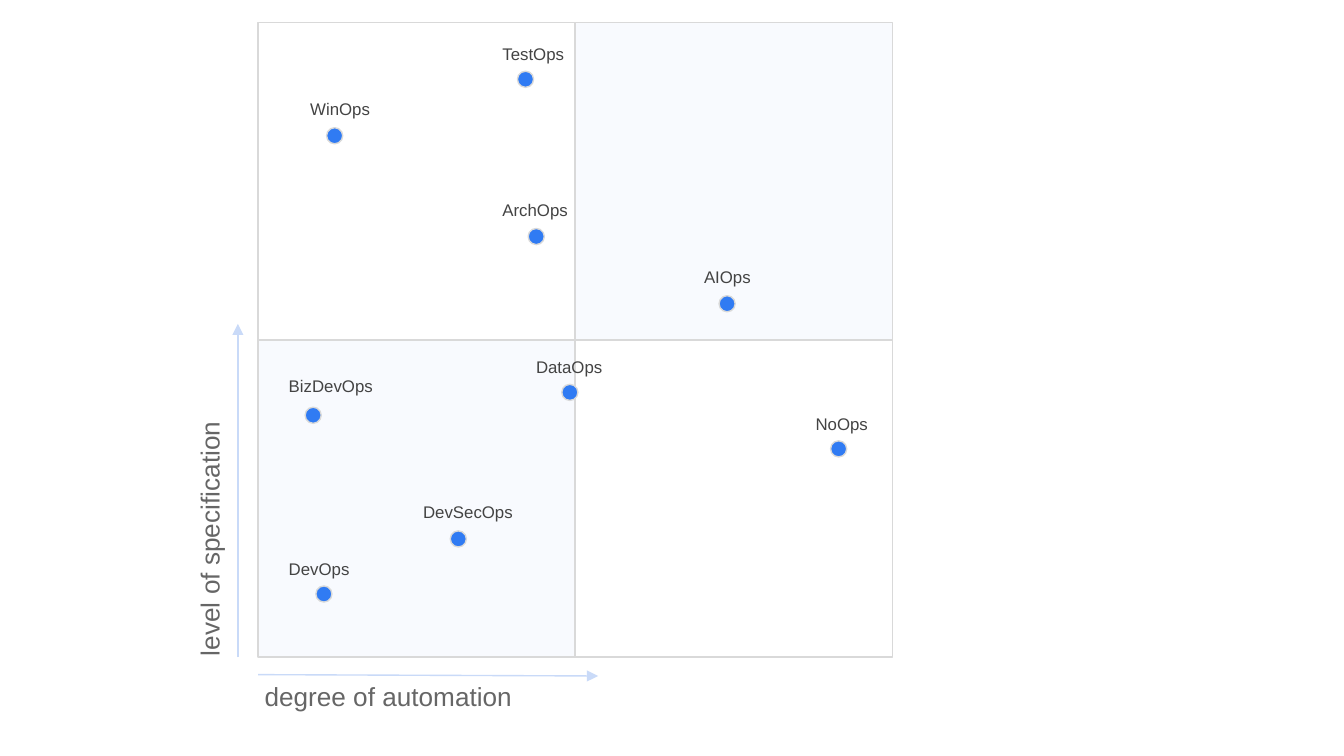
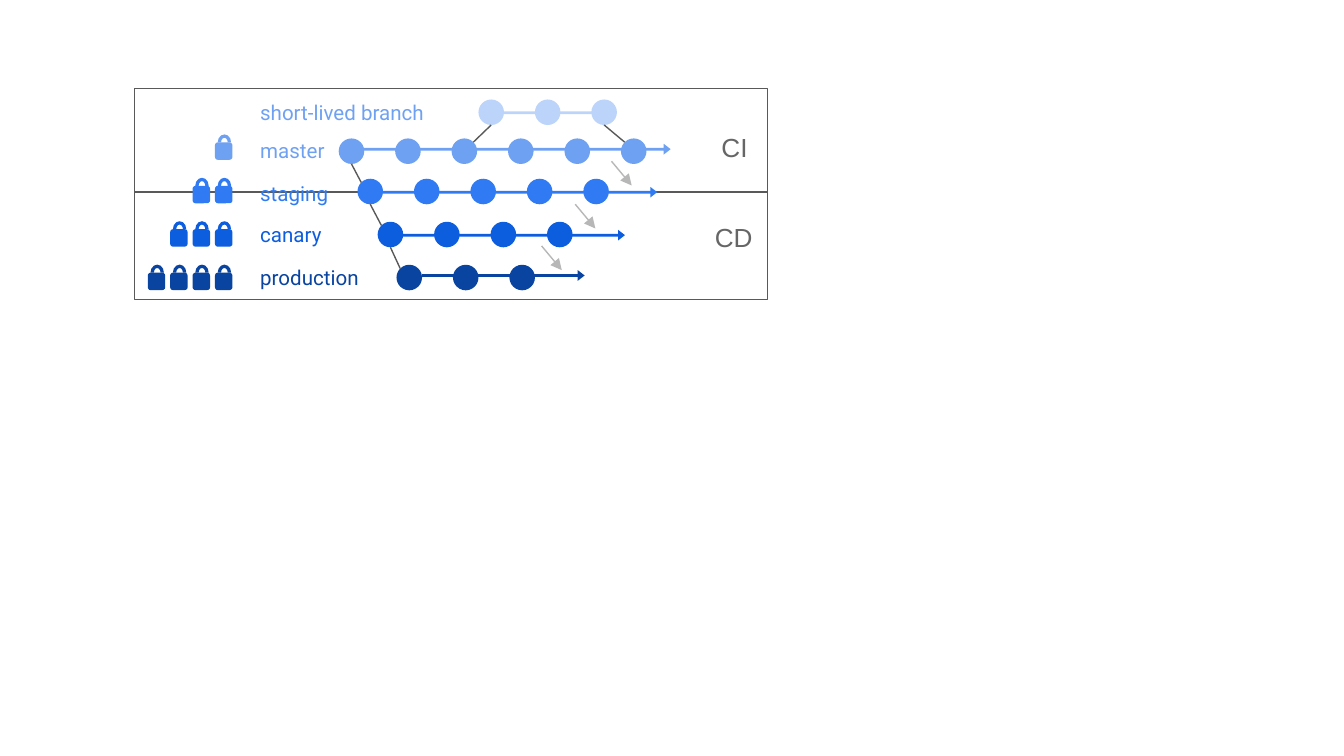
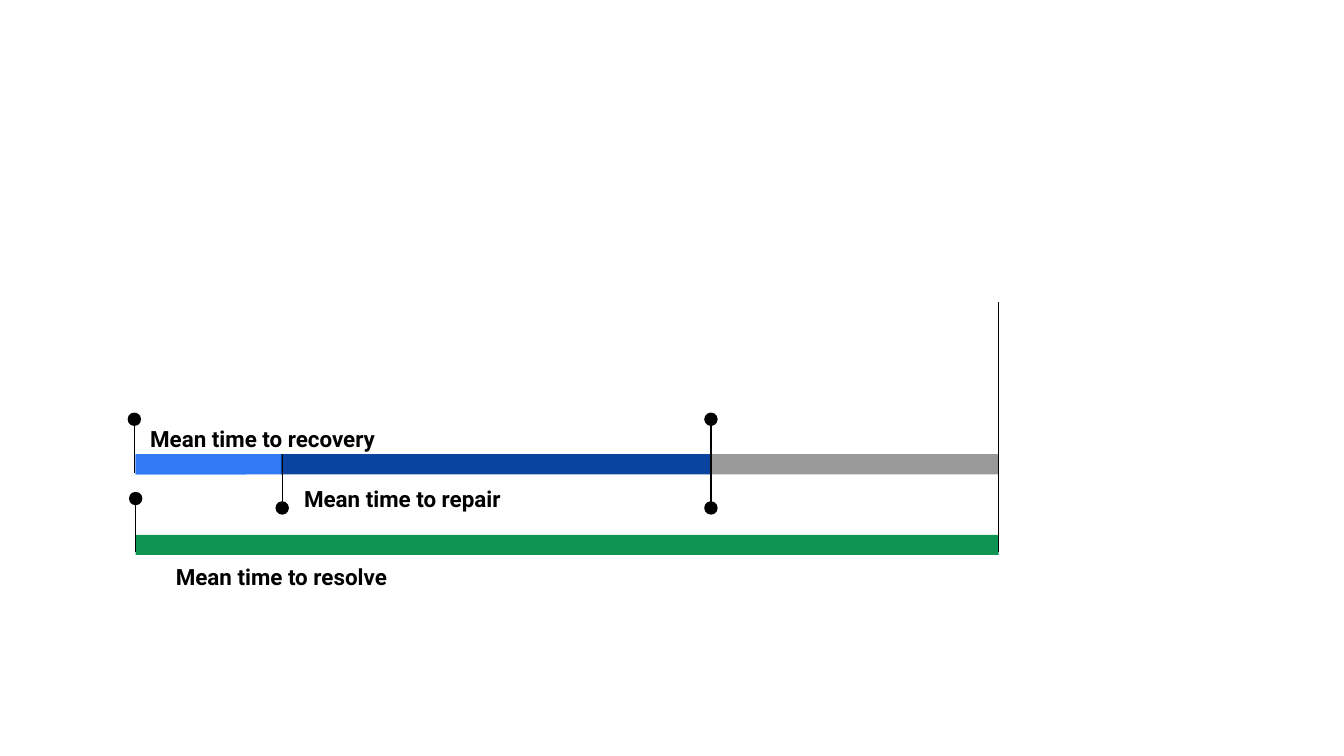
from dataclasses import dataclass
from lxml.etree import SubElement
from pptx import Presentation
from pptx.dml.color import RGBColor as Rgb
from pptx.enum.shapes import MSO_CONNECTOR as Link, MSO_SHAPE as Kind
from pptx.enum.text import MSO_ANCHOR as Anchor, MSO_AUTO_SIZE as Fit, PP_ALIGN as Align
from pptx.oxml.ns import qn
from pptx.util import Inches as In, Pt


@dataclass(frozen=True)
class Theme:
    sans: str = "Arial"
    tech: str = "Roboto"
    axis: int = 14
    head: int = 12
    lane: int = 11
    note: int = 9
    rule: float = 0.75
    mist: str = "BCD4FA"
    sky: str = "6FA1F2"
    blue: str = "307BF3"
    deep: str = "0D5DDF"
    navy: str = "0944A1"
    pale: str = "C9DAF8"
    green: str = "0E9453"
    black: str = "000000"
    ink: str = "434343"
    dark: str = "595959"
    slate: str = "666666"
    gray: str = "999999"
    ash: str = "B7B7B7"
    edge: str = "D9D9D9"


T = Theme()
WIDE = 10
SIZE = (WIDE, WIDE * 9 / 16)

# name, label (left, top, width), dot (left, top)
OPS = [
    ("DevOps", (2.05, 4.08, 0.71), (2.35, 4.36)),
    ("BizDevOps", (2.05, 2.72, 0.99), (2.27, 3.03)),
    ("DevSecOps", (3.05, 3.66, 0.93), (3.35, 3.95)),
    ("DataOps", (3.89, 2.58, 0.93), (4.18, 2.86)),
    ("NoOps", (5.97, 3.0, 0.93), (6.18, 3.28)),
    ("AIOps", (5.14, 1.91, 0.93), (5.35, 2.2)),
    ("ArchOps", (3.64, 1.41, 0.93), (3.93, 1.7)),
    ("TestOps", (3.64, 0.25, 0.93), (3.85, 0.53)),
    ("WinOps", (2.21, 0.66, 0.93), (2.43, 0.95)),
]

# name, colour, label (top, width), first commit (left, top), commits, arrow (left, top, width)
LANES = [
    ("short-lived branch", T.mist, (0.66, 1.55), (3.56, 0.74), 3, (3.67, 0.8, 0.83)),
    ("master", T.sky, (0.94, 0.77), (2.52, 1.03), 6, (2.71, 1.07, 2.28)),
    ("staging", T.blue, (1.26, 0.89), (2.66, 1.33), 5, (2.85, 1.39, 2.04)),
    ("canary", T.deep, (1.57, 0.89), (2.81, 1.65), 4, (3.0, 1.71, 1.65)),
    ("production", T.navy, (1.89, 1.18), (2.95, 1.97), 3, (3.14, 2.01, 1.21)),
]
STAGES = [("CI", (5.27, 0.88, 0.43, 0.52)), ("CD", (5.22, 1.55, 0.49, 0.52))]
FRAMES = [(0.66, 0.77), (1.43, 0.8)]
FLOWS = [(4.55, 1.2), (4.28, 1.52), (4.03, 1.83)]

# left, top, width, colour
BARS = [
    (5.29, 3.38, 2.14, T.gray),
    (1.01, 3.38, 1.09, T.blue),
    (2.09, 3.38, 3.2, T.navy),
    (1.01, 3.38, 0.82, T.blue),
    (1.01, 3.98, 6.42, T.green),
]
# centre of the dot, far end of the stem
PINS = [(5.29, 3.12, 3.52), (1.0, 3.12, 3.52), (2.1, 3.78, 3.38),
        (1.01, 3.71, 4.11), (5.29, 3.78, 3.38)]
TIMES = [("Mean time to recovery", 0.92, 3.03), ("Mean time to repair", 1.96, 3.48),
         ("Mean time to resolve", 1.06, 4.06)]


def shape(host, kind, box, fill=None, line=None, alpha=None):
    item = host.add_shape(kind, *map(In, box))
    item.shadow.inherit = False
    if fill:
        item.fill.solid()
        item.fill.fore_color.rgb = Rgb.from_string(fill)
        if alpha:
            tone = item.element.spPr.find(qn("a:solidFill"))[0]
            SubElement(tone, qn("a:alpha"), val=str(alpha * 1000))
    else:
        item.fill.background()
    if line:
        item.line.color.rgb = Rgb.from_string(line)
        item.line.width = Pt(T.rule)
    else:
        item.line.fill.background()
    return item


def stroke(host, start, end, tone, arrow=False):
    item = host.add_connector(Link.STRAIGHT, *map(In, (*start, *end)))
    item.line.color.rgb = Rgb.from_string(tone)
    item.line.width = Pt(T.rule)
    props = item.element.spPr
    if arrow:
        SubElement(props.find(qn("a:ln")), qn("a:tailEnd"), type="triangle")
    SubElement(props, qn("a:effectLst"))


def write(item, text, size, tone, face=T.sans, bold=None, align=Align.LEFT, anchor=Anchor.TOP):
    frame = item.text_frame
    frame.word_wrap = True
    frame.vertical_anchor = anchor
    frame.margin_left = frame.margin_right = In(0.1)
    frame.margin_top = frame.margin_bottom = In(0.1)
    para = frame.paragraphs[0]
    para.alignment = align
    run = para.add_run()
    run.text = text
    font = run.font
    font.size, font.name, font.bold = Pt(size), face, bold
    font.color.rgb = Rgb.from_string(tone)
    return para


def label(host, box, text, size, tone, **look):
    item = host.add_textbox(*map(In, box))
    return item, write(item, text, size, tone, **look)


def draw_map(host):
    left, top, side = 1.92, 0.17, 2.36
    for row in range(2):
        for col in range(2):
            tint = T.pale if row != col else None
            box = (left + col * side, top + row * side, side, side)
            shape(host, Kind.RECTANGLE, box, tint, T.edge, 12 if tint else None)
    base = top + 2 * side
    stroke(host, (left, base + 0.13), (4.45, base + 0.14), T.pale, True)
    stroke(host, (1.77, base), (1.77, 2.41), T.pale, True)
    label(host, (1.87, 4.96, 2.3, 0.36), "degree of automation", T.axis, T.slate)
    axis, _ = label(host, (0.37, 3.65, 2.3, 0.36), "level of specification", T.axis, T.slate)
    axis.rotation = 270
    for name, place, dot in OPS:
        shape(host, Kind.OVAL, (*dot, 0.12, 0.12), T.blue, T.edge)
        tag, _ = label(host, (*place, 0.28), name, T.note, T.ink)
        tag.text_frame.auto_size = Fit.SHAPE_TO_FIT_TEXT


def draw_lock(host, left, top, tone):
    shape(host, Kind.ROUNDED_RECTANGLE, (left, top, 0.13, 0.13), tone)
    shape(host, Kind.BLOCK_ARC, (left + 0.02, top - 0.06, 0.1, 0.12), tone)


def draw_lanes(host):
    dot, step = 0.19, 0.42
    near = dot * (1 - 0.5 ** 0.5) / 2  # inset of a circle's diagonal point

    def foot(lane, col):
        x, y = LANES[lane][3]
        return x + col * step + dot / 2, y + dot

    def brow(lane, col, right=False):
        x, y = LANES[lane][3]
        return x + col * step + (dot - near if right else near), y + near

    for top, high in FRAMES:
        shape(host, Kind.RECTANGLE, (1, top, 4.71, high), line=T.dark)
    for locks, (name, tone, (top, wide), (x, y), count, arrow) in enumerate(LANES):
        bar = shape(host, Kind.RIGHT_ARROW, (*arrow, 0.08), tone)
        bar.adjustments[0], bar.adjustments[1] = 0.255, 0.643
        tag = shape(host, Kind.ROUNDED_RECTANGLE, (1.82, top, wide, 0.35))
        write(tag, name, T.lane, tone if locks else T.sky, T.tech, anchor=Anchor.MIDDLE)
        for col in range(count):
            shape(host, Kind.OVAL, (x + col * step, y, dot, dot), tone)
        for col in range(locks):
            draw_lock(host, 1.6 - col / 6, 1.06 + (locks - 1) * 0.323, tone)
    for lane in (1, 2, 3):
        stroke(host, foot(lane, 0), brow(lane + 1, 0), T.dark)
    stroke(host, foot(0, 0), brow(1, 2, True), T.dark)
    stroke(host, foot(0, 2), brow(1, 5), T.dark)
    for x, y in FLOWS:
        stroke(host, (x, y), (x + 0.15, y + 0.18), T.ash, True)
    for name, box in STAGES:
        label(host, box, name, T.axis, T.slate)


def draw_times(host):
    for left, top, wide, tone in BARS:
        shape(host, Kind.RECTANGLE, (left, top, wide, 0.15), tone)
    for x, y, end in PINS:
        pin = host.add_group_shape().shapes
        stroke(pin, (x, y), (x, end), T.black)
        shape(pin, Kind.OVAL, (x - 0.05, y - 0.05, 0.1, 0.1), T.black)
    stroke(host, (7.43, 2.25), (7.43, 4.11), T.black)
    for text, left, top in TIMES:
        _, para = label(host, (left, top, 2.07, 0.41), text, T.head, T.black,
                        face=T.tech, bold=True, align=Align.CENTER)
        para.line_spacing = 1.15
        para.space_after = Pt(16)


def main():
    deck = Presentation()
    deck.slide_width, deck.slide_height = map(In, SIZE)
    for draw in (draw_map, draw_lanes, draw_times):
        draw(deck.slides.add_slide(deck.slide_layouts[6]).shapes)
    deck.save("out.pptx")


if __name__ == "__main__":
    main()
